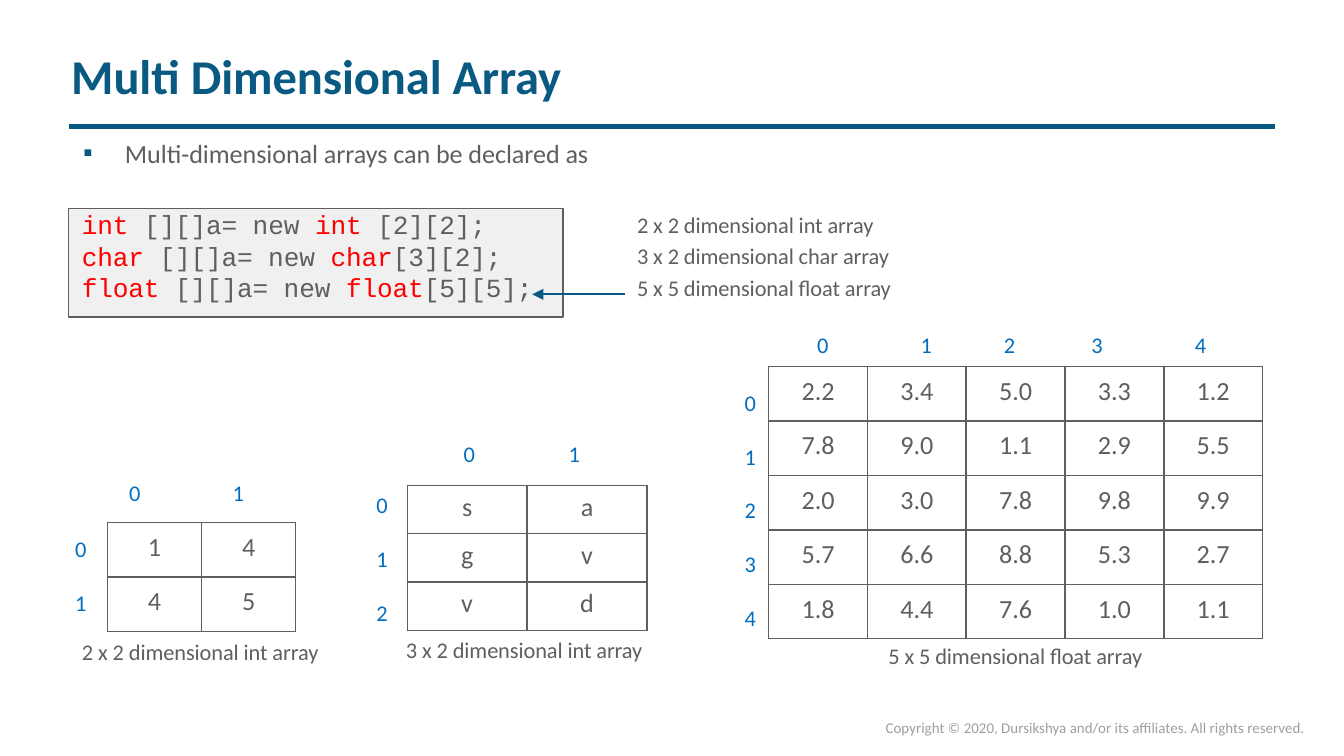
from dataclasses import dataclass

from lxml import etree
from pptx import Presentation
from pptx.dml.color import RGBColor
from pptx.enum.shapes import MSO_CONNECTOR, MSO_SHAPE
from pptx.enum.text import MSO_ANCHOR, MSO_AUTO_SIZE, PP_ALIGN
from pptx.oxml.ns import qn
from pptx.util import Inches, Length, Pt

STRAIGHT = MSO_CONNECTOR.STRAIGHT
RECTANGLE = MSO_SHAPE.RECTANGLE
TOP = MSO_ANCHOR.TOP
NO_AUTOFIT = MSO_AUTO_SIZE.NONE
LEFT, CENTER = PP_ALIGN.LEFT, PP_ALIGN.CENTER

NAVY = RGBColor(0x09, 0x5A, 0x82)
GRAY = RGBColor(0x5F, 0x5F, 0x5F)
PALE = RGBColor(0xF0, 0xF0, 0xF0)
RED = RGBColor(0xFF, 0x00, 0x00)
BLUE = RGBColor(0x00, 0x6E, 0xC0)
SILVER = RGBColor(0x9F, 0x9F, 0x9F)
SANS, MONO = "Calibri", "Courier New"

COLUMNS, ROWS = 100, 56.25  # square grid, ten cells to the inch
INDEX_STEP = 4  # grid rows between row indices
TIGHT, TIGHTER = -5, -10  # letter spacing in hundredths of a point


@dataclass(frozen=True)
class ArrayGrid:
    values: tuple[str, ...]  # one string of blank-separated values per row
    box: tuple[float, float, float, float]
    cell_top: float
    column_index_lefts: tuple[float, ...]
    column_index_top: float
    row_index_left: float
    row_index_top: float
    caption: str
    caption_box: tuple[float, float, float, float]


ARRAYS = (
    ArrayGrid(("1 4", "4 5"), (8, 38.9, 14, 8.1), 0.65,
              (9.5, 17.2), 35.5, 5.5, 39.7,
              "2 x 2 dimensional int array", (6, 47.3, 17.9, 2.3)),
    ArrayGrid(("2.2 3.4 5.0 3.3 1.2", "7.8 9.0 1.1 2.9 5.5", "2.0 3.0 7.8 9.8 9.9",
               "5.7 6.6 8.8 5.3 2.7", "1.8 4.4 7.6 1.0 1.1"),
              (57.2, 27.3, 36.75, 20.25), 0.65,
              (60.7, 68.4, 74.6, 81.1, 88.8), 24.5, 55.3, 28.8,
              "5 x 5 dimensional float array", (66, 47.6, 19.2, 2.3)),
    ArrayGrid(("s a", "g v", "v d"), (30.3, 36.1, 17.85, 10.8), 0.45,
              (34.4, 42.2), 32.6, 27.9, 36.4,
              "3 x 2 dimensional int array", (30.1, 47.2, 17.9, 2.3)),
)
DECLARATIONS = (("int", " [2][2];"), ("char", "[3][2];"), ("float", "[5][5];"))
DECLARATION_NOTES = ("2 x 2 dimensional int array", "3 x 2 dimensional char array",
                     "5 x 5 dimensional float array")


def grid(cells: float) -> Length:
    return Inches(cells / 10)


def style_run(run, size: float, color: RGBColor, face: str = SANS,
              bold: bool = False, spacing: int = 0) -> None:
    font = run.font
    font.size, font.name, font.bold = Pt(size), face, bold
    font.color.rgb = color
    if spacing:
        run._r.get_or_add_rPr().set("spc", str(spacing))


def set_frame(frame, top: float, left: float = 0.1) -> None:
    frame.word_wrap = True
    frame.auto_size = NO_AUTOFIT
    frame.vertical_anchor = TOP
    frame.margin_left, frame.margin_top = grid(left), grid(top)
    frame.margin_right = frame.margin_bottom = 0


def add_text(slide, box: tuple[float, ...], text: str, size: float,
             color: RGBColor, top: float = 0.15, spacing: int = 0):
    frame = slide.shapes.add_textbox(*map(grid, box)).text_frame
    set_frame(frame, top)
    frame.text = text
    for paragraph in frame.paragraphs:
        for run in paragraph.runs:
            style_run(run, size, color, spacing=spacing)
    return frame


def add_line(slide, ends: tuple[float, ...], width: float):
    connector = slide.shapes.add_connector(STRAIGHT, *map(grid, ends))
    connector.line.color.rgb = NAVY
    connector.line.width = Pt(width)
    etree.SubElement(connector._element.spPr, qn("a:effectLst"))
    return connector


def add_square_bullet(paragraph) -> None:
    properties = paragraph._p.get_or_add_pPr()
    properties.set("marL", str(grid(3.2)))
    properties.set("indent", str(-grid(3.1)))
    bullet_color = etree.SubElement(properties, qn("a:buClr"))
    etree.SubElement(bullet_color, qn("a:srgbClr"), val=str(NAVY))
    etree.SubElement(properties, qn("a:buFont"), typeface=SANS)
    etree.SubElement(properties, qn("a:buChar"), char="▪")


def set_borders(cell, widths: dict[str, float]) -> None:
    properties = cell._tc.get_or_add_tcPr()
    for position, (side, width) in enumerate(widths.items()):
        border = etree.Element(qn(f"a:ln{side}"), w=str(Pt(width)))
        fill = etree.SubElement(border, qn("a:solidFill"))
        etree.SubElement(fill, qn("a:srgbClr"), val=str(GRAY))
        properties.insert(position, border)


def add_array(slide, array: ArrayGrid) -> None:
    rows = [row.split() for row in array.values]
    last_row, last_column = len(rows) - 1, len(rows[0]) - 1
    table = slide.shapes.add_table(len(rows), len(rows[0]), *map(grid, array.box)).table
    table.first_row = table.horz_banding = False
    for column in table.columns:
        column.width = grid(array.box[2] / len(rows[0]))
    for row in table.rows:
        row.height = grid(array.box[3] / len(rows))
    for r, row_values in enumerate(rows):
        for c, value in enumerate(row_values):
            cell = table.cell(r, c)
            cell.fill.background()
            cell.margin_left = cell.margin_right = cell.margin_bottom = 0
            cell.margin_top = grid(array.cell_top)
            cell.text_frame.text = value
            paragraph = cell.text_frame.paragraphs[0]
            paragraph.alignment = CENTER
            style_run(paragraph.runs[0], 14, GRAY)
            outer = {"L": c == 0, "R": c == last_column, "T": r == 0, "B": r == last_row}
            set_borders(cell, {side: 0.75 if edge else 1 for side, edge in outer.items()})

    # Indices and caption around the table
    for index, left in enumerate(array.column_index_lefts):
        add_text(slide, (left, array.column_index_top, 1.1, 2.3), str(index), 12, BLUE)
    for index in range(len(rows)):
        top = array.row_index_top + index * INDEX_STEP
        add_text(slide, (array.row_index_left, top, 1.1, 2.3), str(index), 12, BLUE)
    add_text(slide, array.caption_box, array.caption, 12, GRAY, spacing=TIGHT)


def main() -> None:
    deck = Presentation()
    deck.slide_width, deck.slide_height = grid(COLUMNS), grid(ROWS)
    slide = deck.slides.add_slide(deck.slide_layouts[5])

    # Title and rule
    title = slide.shapes.title
    title.left, title.top, title.width, title.height = map(grid, (5.1, 3.3, 36.9, 4.6))
    set_frame(title.text_frame, 0.15, left=0.2)
    title.text_frame.text = "Multi Dimensional Array"
    heading = title.text_frame.paragraphs[0]
    heading.alignment = LEFT
    style_run(heading.runs[0], 26, NAVY, bold=True, spacing=TIGHT)
    add_line(slide, (5.1, 9.4, 94.9, 9.4), 2.5)

    # Code panel
    panel = slide.shapes.add_shape(RECTANGLE, *map(grid, (5.1, 15.5, 36.8, 8.1)))
    panel.shadow.inherit = False
    panel.fill.solid()
    panel.fill.fore_color.rgb = PALE
    panel.line.color.rgb = GRAY
    panel.line.width = Pt(0.72)

    # Bullet and declarations
    body = add_text(slide, (6, 10.1, 38, 12.6),
                    "Multi-dimensional arrays can be declared as", 14, GRAY,
                    top=0.1, spacing=TIGHT)
    add_square_bullet(body.paragraphs[0])
    for number, (keyword, sizes) in enumerate(DECLARATIONS):
        declaration = body.add_paragraph()
        declaration.space_before = Pt(0 if number else 21.6)
        for part in (keyword, " [][]a= new ", keyword, sizes):
            run = declaration.add_run()
            run.text = part
            style_run(run, 14, RED if part == keyword else GRAY, MONO, spacing=TIGHTER)

    # Notes on the declarations and their arrow
    notes = add_text(slide, (47.3, 15.3, 19.2, 7.2), "\n".join(DECLARATION_NOTES),
                     12, GRAY, top=0.4, spacing=TIGHT)
    for note in notes.paragraphs[1:]:
        note.space_before = Pt(2.4)
    arrow = add_line(slide, (46.5, 21.9, 39.6, 21.9), 1.25)
    etree.SubElement(arrow._element.spPr.find(qn("a:ln")), qn("a:tailEnd"), type="triangle")

    # Arrays
    for array in ARRAYS:
        add_array(slide, array)

    # Copyright
    add_text(slide, (65.8, 53.5, 32.1, 1.4),
             "Copyright © 2020, Dursikshya and/or its affiliates. All rights reserved.",
             8, SILVER, top=0)

    deck.save("out.pptx")


if __name__ == "__main__":
    main()
